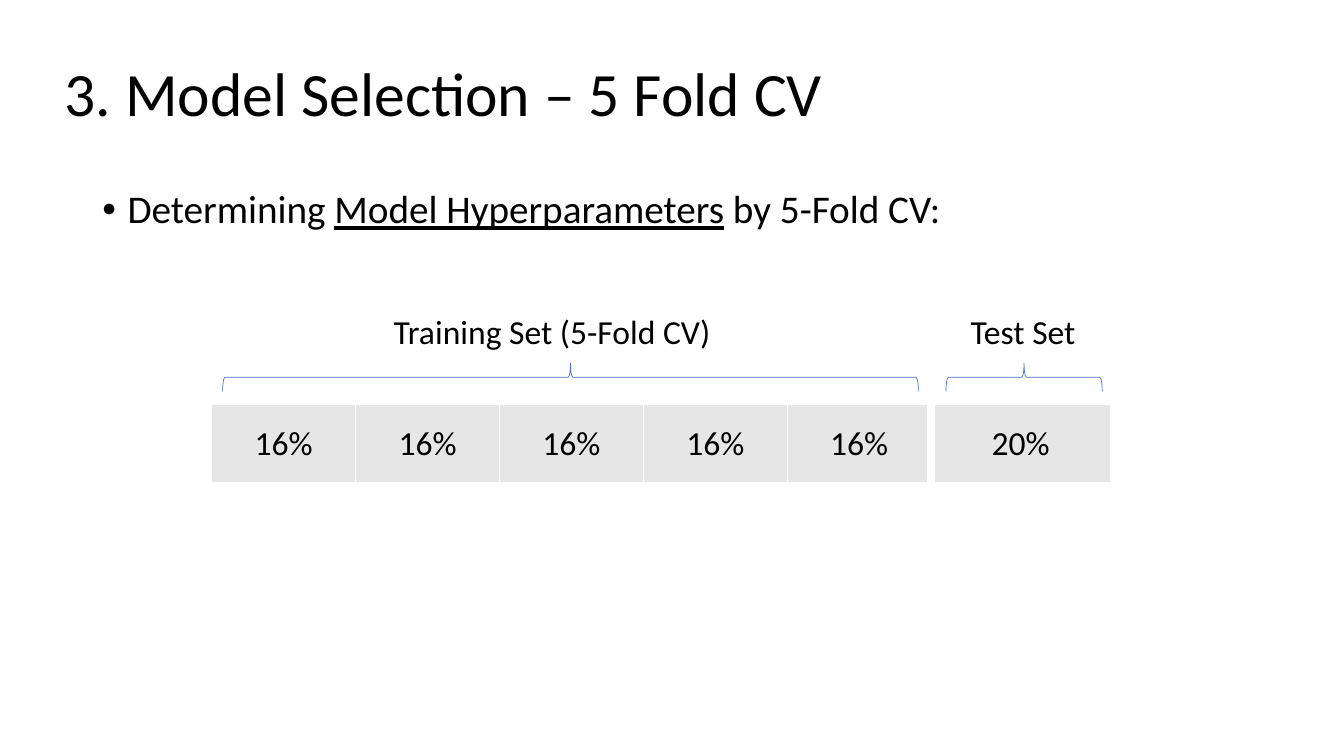
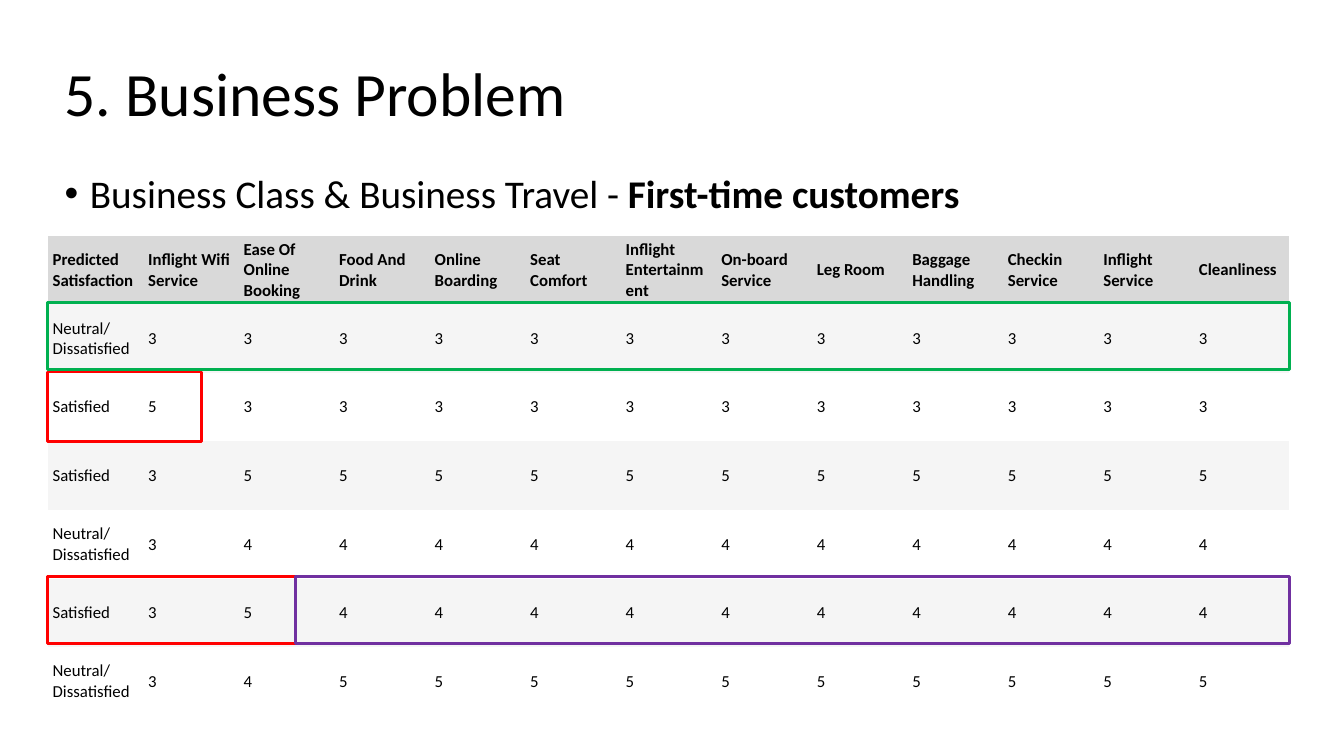
import pptx
import pptx.dml.color
import pptx.enum.shapes
import pptx.enum.text
import pptx.oxml
import pptx.oxml.ns
import pptx.util
from lxml import etree

Pt = pptx.util.Pt
RGB = pptx.dml.color.RGBColor.from_string
SHAPE = pptx.enum.shapes.MSO_SHAPE
ALIGN = pptx.enum.text.PP_ALIGN
MIDDLE = pptx.enum.text.MSO_ANCHOR.MIDDLE
qn = pptx.oxml.ns.qn

FONT = "Calibri"
COLORS = {
    "text": "000000", "white": "FFFFFF", "fold": "E7E6E6", "header": "D9D9D9",
    "band": "F5F5F5", "brace": "4472C4", "green": "00B050", "red": "FF0000",
    "purple": "7030A0",
}
NO_STYLE = "{2D5ABB26-0587-4C30-8999-92F81FD0307C}"


def write(frame, text, size=24, align=ALIGN.LEFT, bold=False, line=1.0, before=0, bullet=False):
    """Fill a frame from a string, or from one paragraph of (text, format) runs."""
    if isinstance(text, str):
        paragraphs = [[(part, {})] for part in text.split("\n")]
    else:
        paragraphs = [text]
    frame.word_wrap = True
    frame.auto_size = pptx.enum.text.MSO_AUTO_SIZE.NONE
    for index, runs in enumerate(paragraphs):
        paragraph = frame.add_paragraph() if index else frame.paragraphs[0]
        paragraph.alignment = align
        paragraph.line_spacing = line
        paragraph.space_before = Pt(before)
        if bullet:
            properties = paragraph._p.get_or_add_pPr()
            properties.set("marL", str(Pt(18)))
            properties.set("indent", str(-Pt(18)))
            etree.SubElement(properties, qn("a:buChar")).set("char", "•")
        for part, emphasis in runs:
            run = paragraph.add_run()
            run.text = part
            run.font.name = FONT
            run.font.size = Pt(size)
            run.font.color.rgb = RGB(COLORS["text"])
            run.font.bold = emphasis.get("bold", bold)
            run.font.underline = emphasis.get("underline", False)


def add_plain_table(slide, left, top, widths, row_height, row_count):
    """Add a table without style, sized by its columns and rows."""
    table = slide.shapes.add_table(
        row_count, len(widths), Pt(left), Pt(top), Pt(sum(widths)), Pt(row_height * row_count)
    ).table
    table.first_row = table.horz_banding = False
    table._tbl.tblPr.find(qn("a:tableStyleId")).text = NO_STYLE
    for column, width in zip(table.columns, widths):
        column.width = Pt(width)
    for row in table.rows:
        row.height = Pt(row_height)
    return table


presentation = pptx.Presentation()
presentation.slide_width, presentation.slide_height = Pt(960), Pt(540)

# Shared title place, set on the layout
layout = presentation.slide_layouts[1]
title = layout.placeholders[0]
title.left, title.top, title.width, title.height = Pt(39), Pt(16.5), Pt(828), Pt(104.5)
title.text_frame.vertical_anchor = MIDDLE

# Titles and bullet lines of both slides
contents = [
    ("3. Model Selection – 5 Fold CV", (66, 132, 828, 86.5),
     [("Determining ", {}), ("Model Hyperparameters", {"underline": True}),
      (" by 5-Fold CV:", {})]),
    ("5. Business Problem", (39, 121, 803, 47.5),
     [("Business Class & Business Travel - ", {}), ("First-time customers", {"bold": True})]),
]
slides = []
for heading, place, bullet_runs in contents:
    slide = presentation.slides.add_slide(layout)
    write(slide.shapes.title.text_frame, heading, size=44, line=0.9)
    body = slide.placeholders[1]
    body.left, body.top, body.width, body.height = map(Pt, place)
    write(body.text_frame, bullet_runs, size=28, line=0.9, before=10, bullet=True)
    slides.append(slide)
selection_slide, problem_slide = slides

# Data split: five folds and a test set
shares = ["16%"] * 5 + ["20%"]
split_table = add_plain_table(selection_slide, 151.2, 288.7, [102.8] * 5 + [128], 57, 1)
for index, share in enumerate(shares):
    cell = split_table.cell(0, index)
    cell.fill.solid()
    cell.fill.fore_color.rgb = RGB(COLORS["fold"])
    cell.vertical_anchor = MIDDLE
    write(cell.text_frame, share, align=ALIGN.CENTER)
    borders = {"L": 6 if index == 5 else 1, "R": 6 if index == 4 else 1, "T": 1, "B": 3}
    for position, (side, width) in enumerate(borders.items()):
        border = etree.Element(qn(f"a:ln{side}"), w=str(Pt(width)))
        fill = etree.SubElement(border, qn("a:solidFill"))
        etree.SubElement(fill, qn("a:srgbClr")).set("val", COLORS["white"])
        cell._tc.tcPr.insert(position, border)

# Braces and their labels: text, brace centre and length, label centre and width
brace_depth, brace_middle = 20, 269.5
for label, brace_center, length, label_center, label_width in [
    ("Training Set (5-Fold CV)", 407.5, 497, 394.3, 381),
    ("Test Set", 731.5, 111.6, 730.8, 95),
]:
    brace = selection_slide.shapes.add_shape(
        SHAPE.RIGHT_BRACE, Pt(brace_center - brace_depth / 2), Pt(brace_middle - length / 2),
        Pt(brace_depth), Pt(length))
    brace.rotation = 270
    brace.shadow.inherit = False
    brace.fill.background()
    brace.line.color.rgb = RGB(COLORS["brace"])
    brace.line.width = Pt(0.5)
    label_box = selection_slide.shapes.add_textbox(
        Pt(label_center - label_width / 2), Pt(218.2), Pt(label_width), Pt(36))
    write(label_box.text_frame, label, align=ALIGN.CENTER)

# Predicted satisfaction by service ratings
headers = [
    "Predicted Satisfaction", "Inflight Wifi Service", "Ease Of Online Booking",
    "Food And Drink", "Online Boarding", "Seat Comfort", "Inflight Entertainment",
    "On-board Service", "Leg Room", "Baggage Handling", "Checkin Service",
    "Inflight Service", "Cleanliness",
]
neutral, satisfied = "Neutral/\nDissatisfied", "Satisfied"
# Prediction, wifi rating, booking rating, rating of every other service
predictions = [
    (neutral, 3, 3, 3), (satisfied, 5, 3, 3), (satisfied, 3, 5, 5),
    (neutral, 3, 4, 4), (satisfied, 3, 5, 4), (neutral, 3, 4, 5),
]
rows = [headers]
for prediction, wifi, booking, others in predictions:
    rows.append([prediction, str(wifi), str(booking)] + [str(others)] * 10)
rating_table = add_plain_table(
    problem_slide, 34, 168.5, [68.23] * len(headers), 48.96, len(rows))
for row_index, row in enumerate(rows):
    color = "header" if row_index == 0 else "band" if row_index % 2 else "white"
    for column_index, text in enumerate(row):
        cell = rating_table.cell(row_index, column_index)
        cell.fill.solid()
        cell.fill.fore_color.rgb = RGB(COLORS[color])
        cell.vertical_anchor = MIDDLE
        cell.margin_left = cell.margin_right = Pt(3.6)
        cell.margin_top = cell.margin_bottom = Pt(1.44)
        write(cell.text_frame, text, size=12, bold=row_index == 0)

# Frames around the rows under discussion
for color, left, top, width, height in [
    ("green", 34, 216, 887, 48.2),
    ("red", 34, 411.8, 177, 48.2),
    ("red", 34, 265.7, 110, 50),
    ("purple", 211, 411.8, 710, 48.2),
]:
    frame = problem_slide.shapes.add_shape(
        SHAPE.RECTANGLE, Pt(left), Pt(top), Pt(width), Pt(height))
    frame.shadow.inherit = False
    frame.fill.background()
    frame.line.color.rgb = RGB(COLORS[color])
    frame.line.width = Pt(2)

presentation.save("out.pptx")
